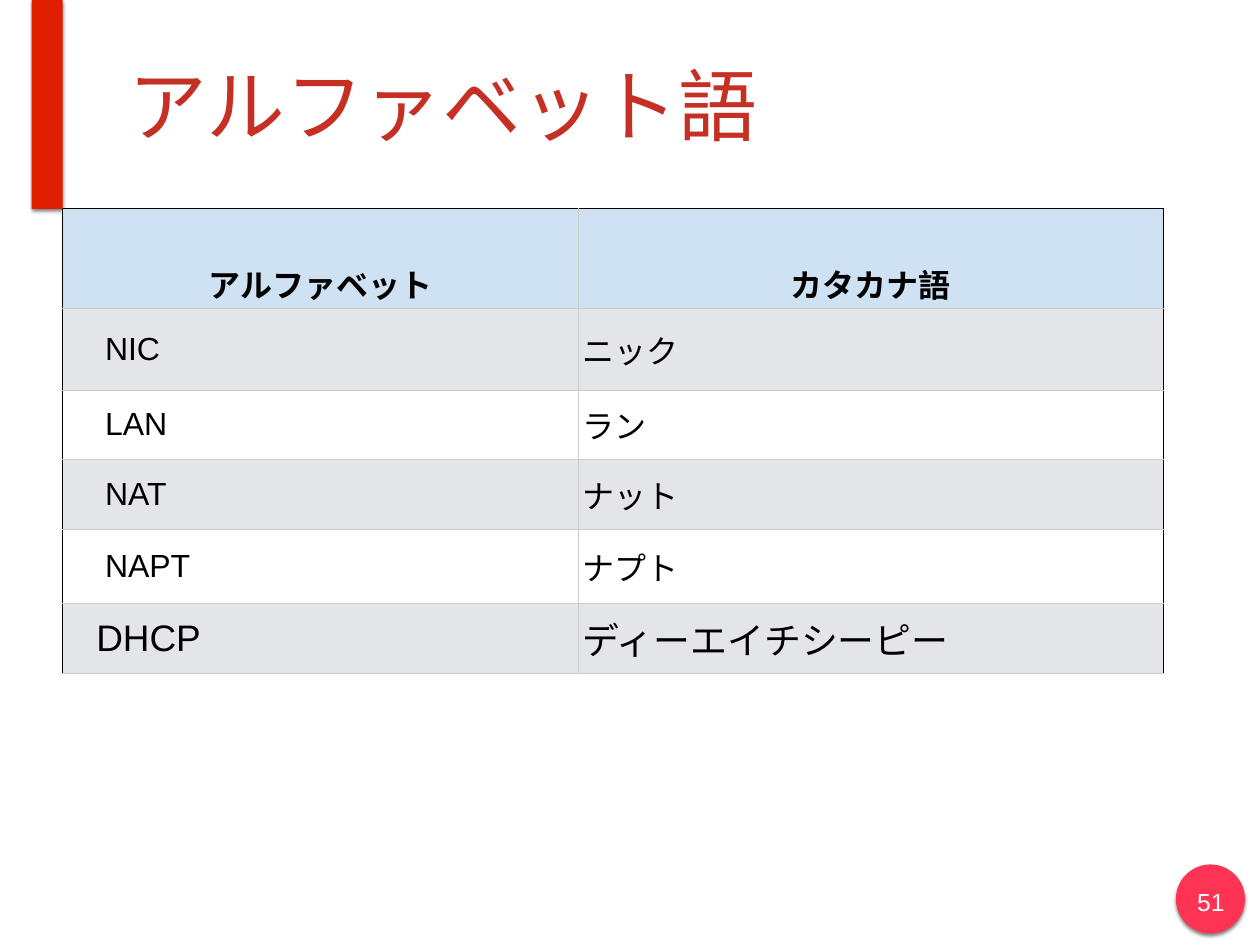
from lxml import etree
from pptx import Presentation
from pptx.dml.color import RGBColor
from pptx.enum.shapes import MSO_SHAPE
from pptx.enum.text import MSO_ANCHOR, MSO_AUTO_SIZE, PP_ALIGN
from pptx.oxml import parse_xml
from pptx.oxml.ns import nsdecls, qn
from pptx.util import Cm, Pt

# Content
TITLE = "アルファベット語"
PAGE = "51"
HEADER = ("アルファベット", "カタカナ語")
# alphabet word, reading, row height (cm), text size, indent (cm)
WORDS = [
    ("NIC", "ニック", 2.34, 26, 1.13),
    ("LAN", "ラン", 1.97, 26, 1.13),
    ("NAT", "ナット", 2.01, 26, 1.13),
    ("NAPT", "ナプト", 2.12, 26, 1.13),
    ("DHCP", "ディーエイチシーピー", 2.01, 30, 0.88),
]
COL_WIDTHS = (14.81, 16.76)
HEADER_HEIGHT = 2.87

FONT = "Arial"
WHITE = RGBColor(0xFF, 0xFF, 0xFF)
BLACK = RGBColor(0x00, 0x00, 0x00)
RED = RGBColor(0xDF, 0x1F, 0x00)
PINK = RGBColor(0xFF, 0x34, 0x55)
TITLE_RED = RGBColor(0xC6, 0x30, 0x24)
HEADER_BLUE = RGBColor(0xCF, 0xE2, 0xF3)
BAND_GRAY = RGBColor(0xE3, 0xE5, 0xE8)
RULE_GRAY = RGBColor(0xCC, 0xCC, 0xCC)


def format_text(p, size, color, bold=False):
    for r in p.runs:
        r.font.name = FONT
        r.font.size = Pt(size)
        r.font.bold = bold
        r.font.color.rgb = color


def set_insets(tf, inset):
    tf.margin_left = tf.margin_right = inset
    tf.margin_top = tf.margin_bottom = inset


def add_ornament(slide, kind, left, top, width, height, color):
    sp = slide.shapes.add_shape(kind, Cm(left), Cm(top), Cm(width), Cm(height))
    sp.fill.solid()
    sp.fill.fore_color.rgb = color
    sp.line.fill.background()
    sp.shadow.inherit = False
    effects = sp._element.spPr.find(qn("a:effectLst"))
    effects.append(parse_xml(
        f'<a:outerShdw {nsdecls("a")} blurRad="{Pt(3)}" dist="{Pt(2)}" '
        'dir="5400000" algn="t" rotWithShape="0"><a:srgbClr val="000000">'
        '<a:alpha val="50000"/></a:srgbClr></a:outerShdw>'))


def set_borders(cell, **colors):
    tc_pr = cell._tc.get_or_add_tcPr()
    for side in "LRTB":
        ln = etree.SubElement(tc_pr, qn(f"a:ln{side}"), w=str(Pt(1)))
        fill = etree.SubElement(ln, qn("a:solidFill"))
        color = colors.get(side, RULE_GRAY)
        etree.SubElement(fill, qn("a:srgbClr"), val=str(color))


def fill_cell(table, row, col, text, size, indent=0):
    header = row == 0
    cell = table.cell(row, col)
    cell.vertical_anchor = MSO_ANCHOR.MIDDLE
    cell.margin_left = Cm(0.1 + indent)
    cell.margin_right = Cm(0.1)
    cell.margin_top = cell.margin_bottom = Cm(0.08)

    # Black outside, gray inside
    borders = {"R" if col else "L": BLACK}
    if header:
        borders["T"] = BLACK
    set_borders(cell, **borders)
    cell.fill.solid()
    cell.fill.fore_color.rgb = (
        HEADER_BLUE if header else BAND_GRAY if row % 2 else WHITE)

    p = cell.text_frame.paragraphs[0]
    p.text = text
    if header:
        p.alignment = PP_ALIGN.CENTER
        p.line_spacing = 2.05
    format_text(p, size, BLACK, bold=header)


def main():
    prs = Presentation()
    prs.slide_width, prs.slide_height = Cm(36.12), Cm(27.1)
    slide = prs.slides.add_slide(prs.slide_layouts[5])

    # Red bar and page circle
    add_ornament(slide, MSO_SHAPE.OVAL, 33.71, 24.79, 1.98, 1.98, PINK)
    add_ornament(slide, MSO_SHAPE.RECTANGLE, 0.91, 0, 0.89, 5.99, RED)

    # Page number
    box = slide.shapes.add_textbox(Cm(34.09), Cm(25.27), Cm(1.24), Cm(1.14))
    tf = box.text_frame
    tf.word_wrap = True
    set_insets(tf, Cm(0.15))
    tf.text = PAGE
    tf.paragraphs[0].alignment = PP_ALIGN.CENTER
    format_text(tf.paragraphs[0], 20, WHITE)

    # Title
    title = slide.shapes.title
    title.left, title.top = Cm(3.53), Cm(0.3)
    title.width, title.height = Cm(30.84), Cm(5.38)
    tf = title.text_frame
    tf.auto_size = MSO_AUTO_SIZE.NONE
    tf.vertical_anchor = MSO_ANCHOR.MIDDLE
    set_insets(tf, Cm(0.15))
    tf.text = TITLE
    tf.paragraphs[0].alignment = PP_ALIGN.LEFT
    format_text(tf.paragraphs[0], 64, TITLE_RED)

    # Word table
    heights = [HEADER_HEIGHT] + [word[2] for word in WORDS]
    table = slide.shapes.add_table(
        len(heights), len(COL_WIDTHS), Cm(1.78), Cm(5.99),
        Cm(sum(COL_WIDTHS)), Cm(sum(heights))).table
    table.first_row = table.horz_banding = False
    for column, width in zip(table.columns, COL_WIDTHS):
        column.width = Cm(width)
    for row, height in zip(table.rows, heights):
        row.height = Cm(height)

    for col, text in enumerate(HEADER):
        fill_cell(table, 0, col, text, 26)
    for row, (word, reading, _, size, indent) in enumerate(WORDS, 1):
        fill_cell(table, row, 0, word, size, indent)
        fill_cell(table, row, 1, reading, size)

    prs.save("out.pptx")


if __name__ == "__main__":
    main()
